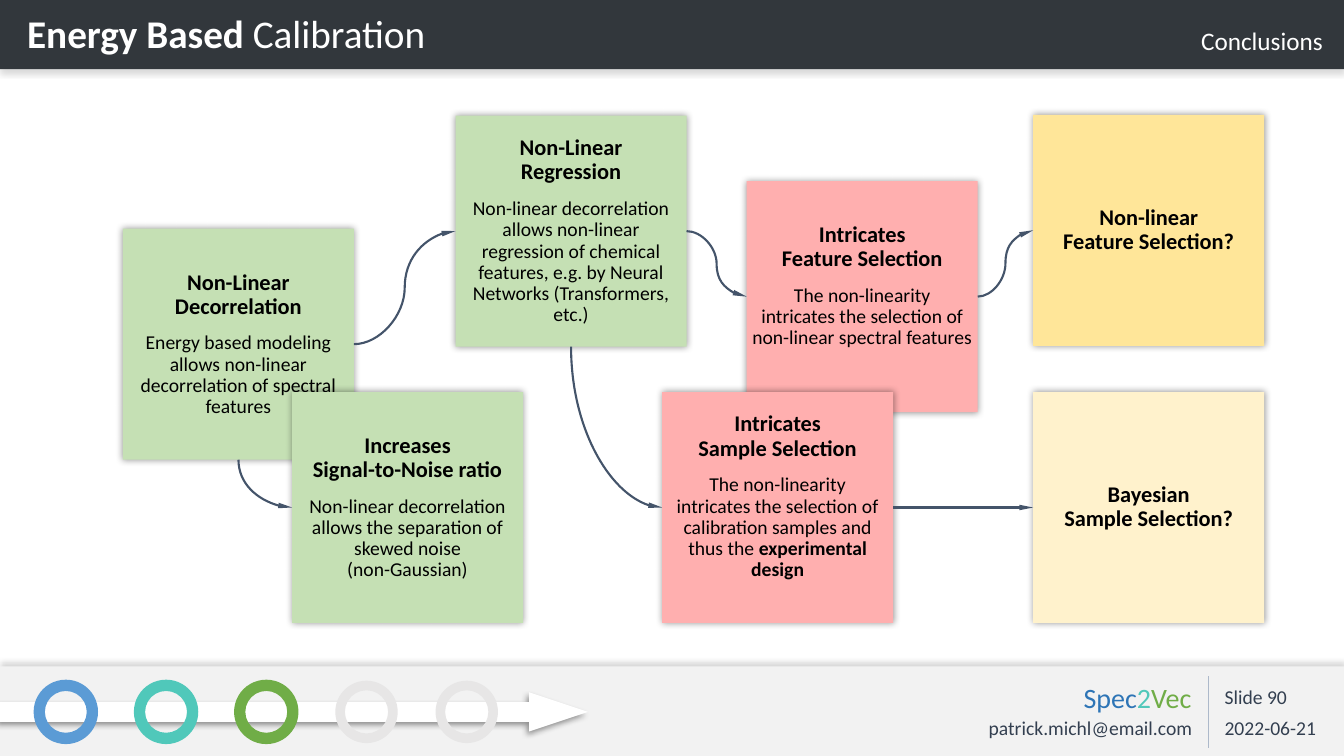
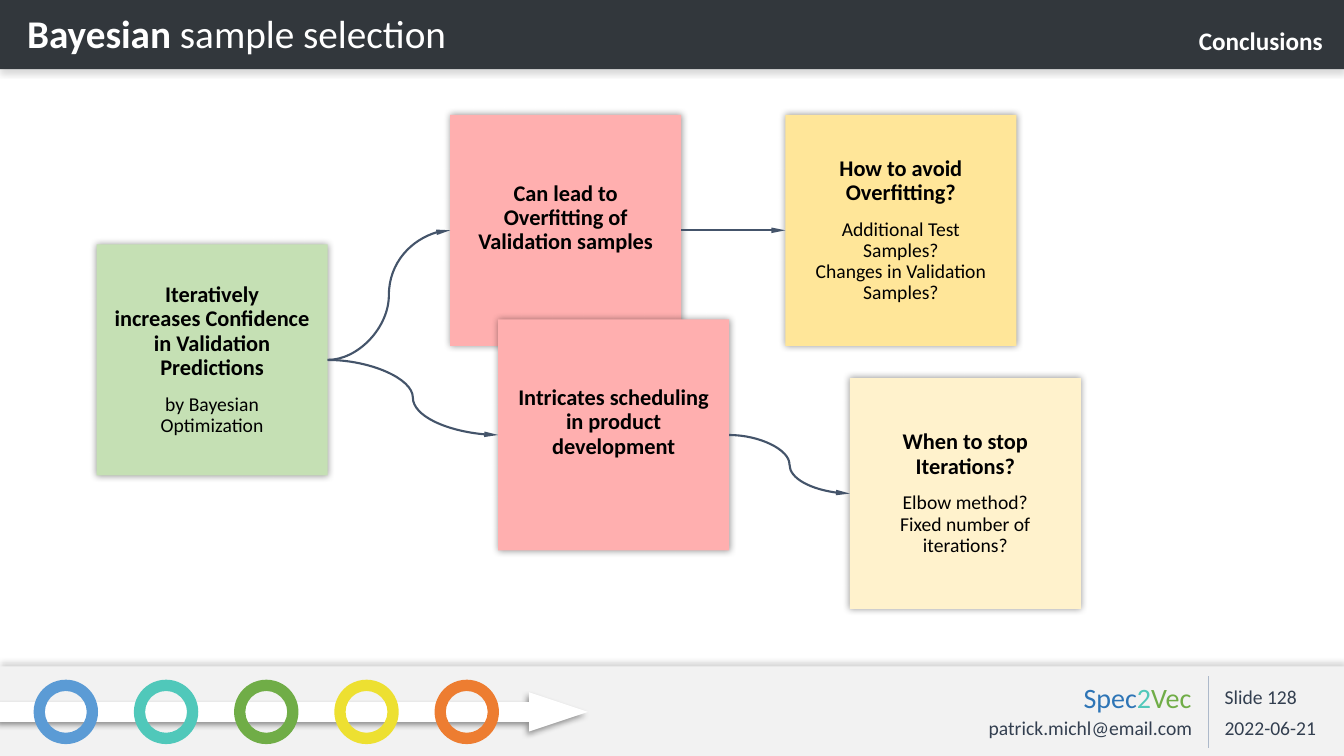
from copy import deepcopy

from lxml.etree import SubElement
from pptx import Presentation
from pptx.dml.color import RGBColor
from pptx.enum.shapes import MSO_CONNECTOR as Connector, MSO_SHAPE as Preset
from pptx.enum.text import MSO_ANCHOR as Anchor, MSO_AUTO_SIZE as AutoSize, PP_ALIGN as Align
from pptx.oxml.ns import qn
from pptx.util import Pt

WIDTH, HEIGHT = 960, 540
LEFT, BOTTOM, RIGHT = 1, 2, 3
BOX = 165
FONT = "Calibri"
WHITE, BLACK, INK = "FFFFFF", "000000", "333F50"
GREEN, RED, GOLD, CREAM = "C5E0B4", "FFAFAF", "FFE699", "FFF2CC"
TITLE_BAND, FOOTER_BAND, LINK, RULE = "32373C", "F2F2F2", "44546A", "ADB9CA"
STEPS = ("5B9BD5", "50C8BA", "70AD47", "EDE031", "ED7D31")
PENDING = "E7E6E6"
BOX_SHADOW = (40, 5, 0, 0)
FOOTER_INSETS = {"margin_right": Pt(2.9)}


def color(value):
    """Turn a hex string into a colour."""
    return RGBColor.from_string(value)


def assign(target, values):
    """Set each attribute named in a dict."""
    for name, value in values.items():
        setattr(target, name, value)


def set_shadow(shape, shadow=None):
    """Replace the theme shadow with (opacity, blur, distance, angle) or nothing."""
    effects = SubElement(shape.element.spPr, qn("a:effectLst"))
    if shadow:
        opacity, blur, distance, angle = shadow
        outer = SubElement(effects, qn("a:outerShdw"), blurRad=str(Pt(blur)), dist=str(Pt(distance)),
                           dir=str(angle * 60000), algn="ctr", rotWithShape="0")
        tint = SubElement(outer, qn("a:srgbClr"), val=BLACK)
        SubElement(tint, qn("a:alpha"), val=str(opacity * 1000))


class Deck:
    """Holds the presentation style and the current slide."""

    def __init__(self):
        """Start an empty widescreen presentation."""
        self.presentation = Presentation()
        assign(self.presentation, {"slide_width": Pt(WIDTH), "slide_height": Pt(HEIGHT)})
        self.slide = None

    def fill_text(self, frame, paragraphs, align=Align.LEFT, spacing=1.0, **frame_format):
        """Fill a frame with paragraphs, each a list of (text, size, colour, bold) runs."""
        assign(frame, {"word_wrap": True, "auto_size": AutoSize.NONE, **frame_format})
        for index, runs in enumerate(paragraphs):
            paragraph = frame.add_paragraph() if index else frame.paragraphs[0]
            assign(paragraph, {"alignment": align, "line_spacing": spacing,
                               "space_before": Pt(10 if index else 0)})
            for text, size, tint, bold in runs:
                for number, line in enumerate(text.split("\n")):
                    if number:
                        paragraph.add_line_break()
                        paragraph._p[-1].insert(0, deepcopy(run._r.rPr))
                    run = paragraph.add_run()
                    run.text = line
                    assign(run.font, {"name": FONT, "size": Pt(size), "bold": bold})
                    run.font.color.rgb = color(tint)

    def text(self, left, top, width, height, runs, **options):
        """Add a text box with one paragraph."""
        shape = self.slide.shapes.add_textbox(Pt(left), Pt(top), Pt(width), Pt(height))
        self.fill_text(shape.text_frame, [runs], **options)

    def shape(self, preset, left, top, width, height, fill, shadow=None):
        """Add a filled preset shape without outline."""
        shape = self.slide.shapes.add_shape(preset, Pt(left), Pt(top), Pt(width), Pt(height))
        shape.fill.solid()
        shape.fill.fore_color.rgb = color(fill)
        shape.line.fill.background()
        set_shadow(shape, shadow)
        return shape

    def style_line(self, connector, tint, width, head=None, shadow=None):
        """Give a connector its colour, width and optional arrowhead size."""
        connector.line.width = Pt(width)
        connector.line.color.rgb = color(tint)
        if head:
            outline = connector.element.spPr.find(qn("a:ln"))
            SubElement(outline, qn("a:tailEnd"), type="triangle", w=head[0], len=head[1])
        set_shadow(connector, shadow)

    def line(self, start, end, *style):
        """Add a free straight line between two points."""
        points = [Pt(value) for value in (*start, *end)]
        connector = self.slide.shapes.add_connector(Connector.STRAIGHT, *points)
        self.style_line(connector, *style)

    def link(self, start, end, side=RIGHT):
        """Join two boxes with an arrow that enters the second on its left."""
        flat = side == RIGHT and start.top == end.top
        kind = Connector.STRAIGHT if flat else Connector.CURVE
        connector = self.slide.shapes.add_connector(kind, 0, 0, 0, 0)
        connector.begin_connect(start, side)
        connector.end_connect(end, LEFT)
        if side == BOTTOM:
            self.bend(connector)
        self.style_line(connector, LINK, 1.5, ("sm", "lg"))

    def bend(self, connector):
        """Turn a curve into a quarter bend that leaves downwards and ends rightwards."""
        across, down = connector.width, connector.height
        shift = (across - down) // 2
        assign(connector, {"left": connector.left + shift, "top": connector.top - shift,
                           "width": down, "height": across})
        properties = connector.element.spPr
        properties.find(qn("a:prstGeom")).set("prst", "curvedConnector2")
        transform = properties.find(qn("a:xfrm"))
        transform.set("rot", str(270 * 60000))
        transform.set("flipH", "1")

    def box(self, left, top, fill, heading, body=(), lift=0):
        """Add a square card with a bold heading and an optional body of (text, bold) runs."""
        shape = self.shape(Preset.RECTANGLE, left, top, BOX, BOX, fill, BOX_SHADOW)
        paragraphs = [[(heading, 16, BLACK, True)]]
        if body:
            paragraphs.append([(text, 14, BLACK, bold) for text, bold in body])
        insets = {f"margin_{side}": Pt(3.6) for side in ("left", "top", "right")}
        self.fill_text(shape.text_frame, paragraphs, Align.CENTER, 0.9,
                       vertical_anchor=Anchor.MIDDLE, margin_bottom=Pt(3.6 + lift), **insets)
        return shape

    def footer(self, number, reached):
        """Draw the footer band with its progress rings and credits."""
        self.shape(Preset.RECTANGLE, 0, 476, WIDTH, 64, FOOTER_BAND, (15, 4, 3, 270))
        self.line((0, 508.5), (420, 508.5), WHITE, 14, ("sm", "med"), (40, 4, 3, 135))
        self.line((863.2, 483), (863.2, 534), RULE, 1)
        self.text(693.4, 509.8, 161.2, 25, [("patrick.michl@email.com", 14, INK, False)],
                  align=Align.RIGHT, spacing=0.9, **FOOTER_INSETS)
        self.text(867.6, 509.8, 86.4, 25, [("2022-06-21", 14, INK, False)],
                  spacing=0.9, **FOOTER_INSETS)
        self.text(867.6, 486, 86.4, 25, [(f"Slide {number}", 14, INK, False)])
        self.text(756, 482.4, 102.2, 32, [("Spec", 20, "2E75B6", False), ("2", 20, STEPS[1], False),
                                          ("Vec", 20, STEPS[2], False)], align=Align.RIGHT)
        for index, tint in enumerate(STEPS):
            done = index < reached
            size = 46 if done else 44.6
            ring = self.shape(Preset.DONUT, 47 + 71.6 * index - size / 2, 508.5 - size / 2,
                              size, size, tint if done else PENDING)
            ring.adjustments[0] = 0.175 if done else 0.154

    def start(self, number, strong, rest, reached, bold_chapter):
        """Begin a slide with bands, title and chapter."""
        self.slide = self.presentation.slides.add_slide(self.presentation.slide_layouts[5])
        self.footer(number, reached)
        self.shape(Preset.RECTANGLE, 0, 0, WIDTH, 49.5, TITLE_BAND, (15, 4, 3, 90))
        title = self.slide.shapes.title
        title.element.getparent().append(title.element)
        assign(title, {"left": Pt(12.2), "top": Pt(2.2), "width": Pt(800), "height": Pt(46)})
        self.fill_text(title.text_frame, [[(strong, 28, WHITE, True), (rest, 28, WHITE, False)]],
                       spacing=0.9, vertical_anchor=Anchor.MIDDLE)
        self.text(652, 14.4, 300, 29, [("Conclusions", 18, WHITE, bold_chapter)], align=Align.RIGHT)


def add_calibration(deck):
    """Build the slide on energy based calibration."""
    deck.start(90, "Energy Based ", "Calibration", 3, False)
    decorrelation = deck.box(87.8, 163.4, GREEN, "Non-Linear\nDecorrelation", [
        ("Energy based modeling allows non-linear decorrelation of spectral features", False)])
    regression = deck.box(325.4, 82.6, GREEN, "Non-Linear\nRegression", [
        ("Non-linear decorrelation\nallows non-linear regression of chemical features, "
         "e.g. by Neural Networks (Transformers, etc.)", False)])
    noise = deck.box(208.6, 280, GREEN, "Increases\nSignal-to-Noise ratio", [
        ("Non-linear decorrelation allows the separation of skewed noise\n(non-Gaussian)", False)])
    features = deck.box(533.4, 129.4, RED, "Intricates\nFeature Selection", [
        ("The non-linearity\nintricates the selection of non-linear spectral features", False)], 15.4)
    samples = deck.box(473, 280, RED, "Intricates\nSample Selection", [
        ("The non-linearity\nintricates the selection of calibration samples and thus the ", False),
        ("experimental design", True)], 15.4)
    feature_question = deck.box(738, 82, GOLD, "Non-linear\nFeature Selection?")
    sample_question = deck.box(738, 280, CREAM, "Bayesian\nSample Selection?")
    deck.link(decorrelation, regression)
    deck.link(decorrelation, noise, BOTTOM)
    deck.link(regression, samples, BOTTOM)
    deck.link(regression, features)
    deck.link(features, feature_question)
    deck.link(samples, sample_question)


def add_sample_selection(deck):
    """Build the slide on Bayesian sample selection."""
    deck.start(128, "Bayesian ", "sample selection", 5, True)
    confidence = deck.box(69, 174.6, GREEN,
                          "Iteratively\nincreases Confidence\nin Validation\nPredictions",
                          [("by Bayesian\nOptimization", False)])
    overfitting = deck.box(321.6, 82, RED, "Can lead to\nOverfitting of Validation samples", lift=17.6)
    avoidance = deck.box(561, 82, GOLD, "How to avoid\nOverfitting?", [
        ("Additional Test\nSamples?\nChanges in Validation\nSamples?", False)])
    scheduling = deck.box(355.8, 228.2, RED, "Intricates scheduling\nin product development", lift=17.6)
    stopping = deck.box(607, 270, CREAM, "When to stop\nIterations?", [
        ("Elbow method?\nFixed number of\niterations?", False)])
    deck.link(confidence, overfitting)
    deck.link(overfitting, avoidance)
    deck.link(confidence, scheduling)
    deck.link(scheduling, stopping)


def main():
    """Build and save the presentation."""
    deck = Deck()
    add_calibration(deck)
    add_sample_selection(deck)
    deck.presentation.save("out.pptx")


if __name__ == "__main__":
    main()
